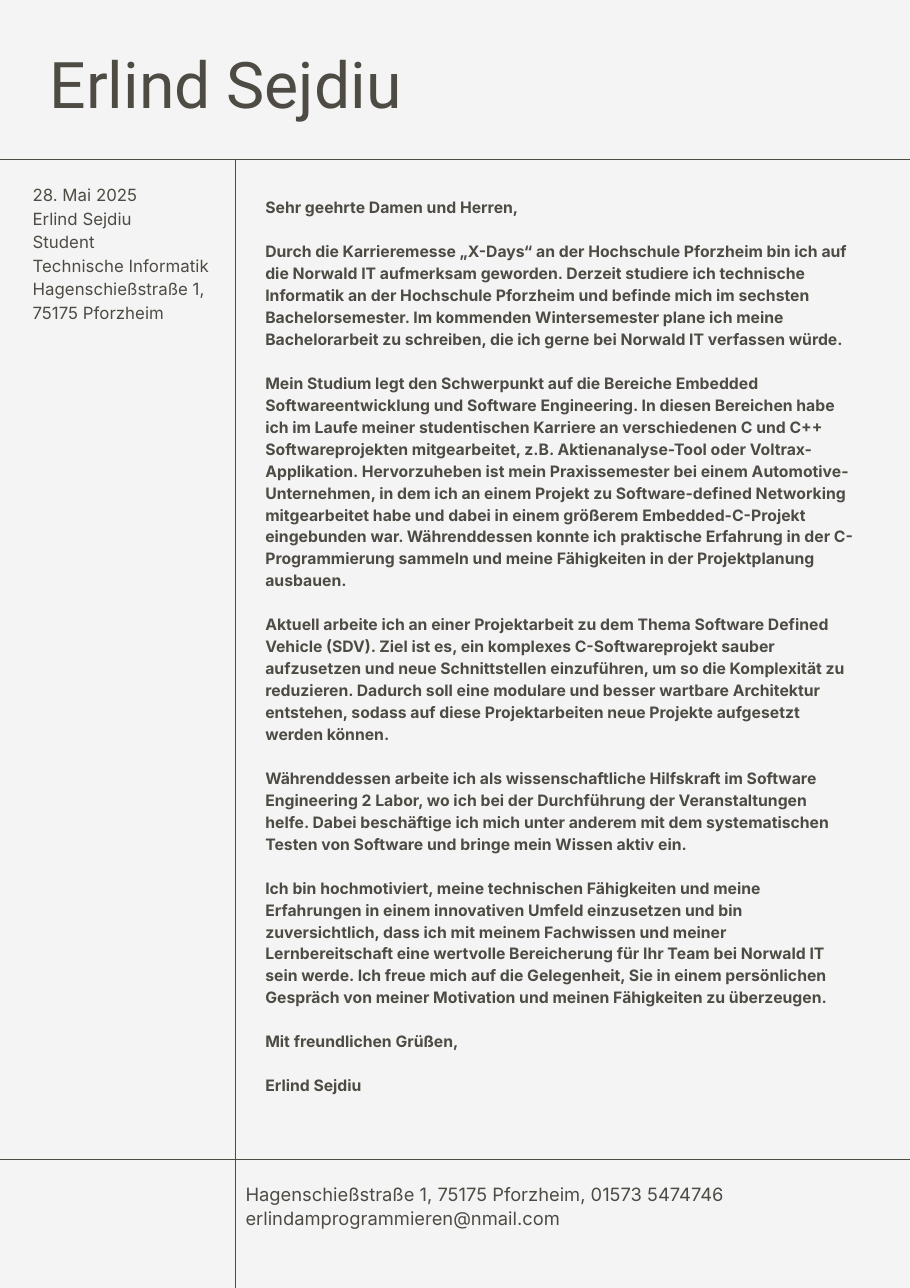
import pptx
import pptx.dml.color
import pptx.enum.shapes
import pptx.enum.text
import pptx.util
import lxml.etree

Pt = pptx.util.Pt
COLOURS = {"ink": "4D4B44", "paper": "F4F4F4"}
NAMESPACE = "{http://schemas.openxmlformats.org/drawingml/2006/main}"
PAGE_WIDTH, PAGE_HEIGHT = 594.72, 841.68
HEADER_LINE, FOOTER_LINE, COLUMN_LINE = 104.4, 757.8, 154


def colour(name):
    return pptx.dml.color.RGBColor.from_string(COLOURS[name])


def write(box, bounds, lines, font, size, leading, gap=0, bold=False, inset=0):
    box.left, box.top, box.width, box.height = [Pt(value) for value in bounds]
    frame = box.text_frame
    frame.text = "\n".join(lines)
    frame.word_wrap = True
    frame.auto_size = pptx.enum.text.MSO_AUTO_SIZE.SHAPE_TO_FIT_TEXT
    frame.vertical_anchor = pptx.enum.text.MSO_ANCHOR.TOP
    frame.margin_left = frame.margin_right = Pt(2 * inset)
    frame.margin_top = frame.margin_bottom = Pt(inset)
    for number, para in enumerate(frame.paragraphs):
        properties = para._p.get_or_add_pPr()
        properties.set("marL", "0")
        properties.set("indent", "0")
        lxml.etree.SubElement(properties, NAMESPACE + "buNone")
        para.alignment = pptx.enum.text.PP_ALIGN.LEFT
        para.line_spacing = Pt(leading)
        para.space_before = Pt(gap if number else 0)
        para.space_after = Pt(0)
        for span in para.runs:
            span.font.name = font
            span.font.size = Pt(size)
            span.font.bold = bold
            span.font.color.rgb = colour("ink")


deck = pptx.Presentation()
deck.slide_width, deck.slide_height = Pt(PAGE_WIDTH), Pt(PAGE_HEIGHT)
page = deck.slides.add_slide(deck.slide_layouts[1])
page.background.fill.solid()
page.background.fill.fore_color.rgb = colour("paper")

rules = [
    (0, HEADER_LINE, PAGE_WIDTH, HEADER_LINE),
    (0, FOOTER_LINE, PAGE_WIDTH, FOOTER_LINE),
    (COLUMN_LINE, HEADER_LINE, COLUMN_LINE, PAGE_HEIGHT),
]
for ends in rules:
    rule = page.shapes.add_connector(
        pptx.enum.shapes.MSO_CONNECTOR.STRAIGHT, *[Pt(value) for value in ends]
    )
    rule.line.color.rgb = colour("ink")
    rule.line.width = Pt(0.75)
    lxml.etree.SubElement(rule._element.spPr, NAMESPACE + "effectLst")

write(page.shapes.title, (32.4, 28.8, 329, 51), ["Erlind Sejdiu"], "Roboto", 42, 50.8)

sender = [
    "28. Mai 2025",
    "Erlind Sejdiu",
    "Student",
    "Technische Informatik",
    "Hagenschießstraße 1,",
    "75175 Pforzheim",
]
sender_box = page.shapes.add_textbox(0, 0, 0, 0)
write(sender_box, (21.3, 118.6, 118, 92.4), sender, "Inter", 11, 15.4)

letter = [
    "Sehr geehrte Damen und Herren,",
    "Durch die Karrieremesse „X-Days“ an der Hochschule Pforzheim bin ich auf "
    "die Norwald IT aufmerksam geworden. Derzeit studiere ich technische "
    "Informatik an der Hochschule Pforzheim und befinde mich im sechsten "
    "Bachelorsemester. Im kommenden Wintersemester plane ich meine "
    "Bachelorarbeit zu schreiben, die ich gerne bei Norwald IT verfassen würde.",
    "Mein Studium legt den Schwerpunkt auf die Bereiche Embedded "
    "Softwareentwicklung und Software Engineering. In diesen Bereichen habe "
    "ich im Laufe meiner studentischen Karriere an verschiedenen C und C++ "
    "Softwareprojekten mitgearbeitet, z.B. Aktienanalyse-Tool oder Voltrax-"
    "Applikation. Hervorzuheben ist mein Praxissemester bei einem Automotive-"
    "Unternehmen, in dem ich an einem Projekt zu Software-defined Networking "
    "mitgearbeitet habe und dabei in einem größerem Embedded-C-Projekt "
    "eingebunden war. Währenddessen konnte ich praktische Erfahrung in der C-"
    "Programmierung sammeln und meine Fähigkeiten in der Projektplanung "
    "ausbauen.",
    "Aktuell arbeite ich an einer Projektarbeit zu dem Thema Software Defined "
    "Vehicle (SDV). Ziel ist es, ein komplexes C-Softwareprojekt sauber "
    "aufzusetzen und neue Schnittstellen einzuführen, um so die Komplexität zu "
    "reduzieren. Dadurch soll eine modulare und besser wartbare Architektur "
    "entstehen, sodass auf diese Projektarbeiten neue Projekte aufgesetzt "
    "werden können.",
    "Währenddessen arbeite ich als wissenschaftliche Hilfskraft im Software "
    "Engineering 2 Labor, wo ich bei der Durchführung der Veranstaltungen\v"
    "helfe. Dabei beschäftige ich mich unter anderem mit dem systematischen "
    "Testen von Software und bringe mein Wissen aktiv ein.",
    "Ich bin hochmotiviert, meine technischen Fähigkeiten und meine "
    "Erfahrungen in einem innovativen Umfeld einzusetzen und bin "
    "zuversichtlich, dass ich mit meinem Fachwissen und meiner "
    "Lernbereitschaft eine wertvolle Bereicherung für Ihr Team bei Norwald IT "
    "sein werde. Ich freue mich auf die Gelegenheit, Sie in einem persönlichen "
    "Gespräch von meiner Motivation und meinen Fähigkeiten zu überzeugen.",
    "Mit freundlichen Grüßen,",
    "Erlind Sejdiu",
]
letter_box = page.placeholders[1]
write(letter_box, (173.4, 127.4, 386, 592.6), letter, "Inter", 10.3, 14.34, gap=14.34, bold=True)

contact = [
    "Hagenschießstraße 1, 75175 Pforzheim, 01573 5474746 "
    "erlindamprogrammieren@nmail.com"
]
contact_box = page.shapes.add_textbox(0, 0, 0, 0)
write(contact_box, (153.4, 768.6, 347.8, 36.7), contact, "Inter", 12, 15.4, inset=3.6)

deck.save("out.pptx")
